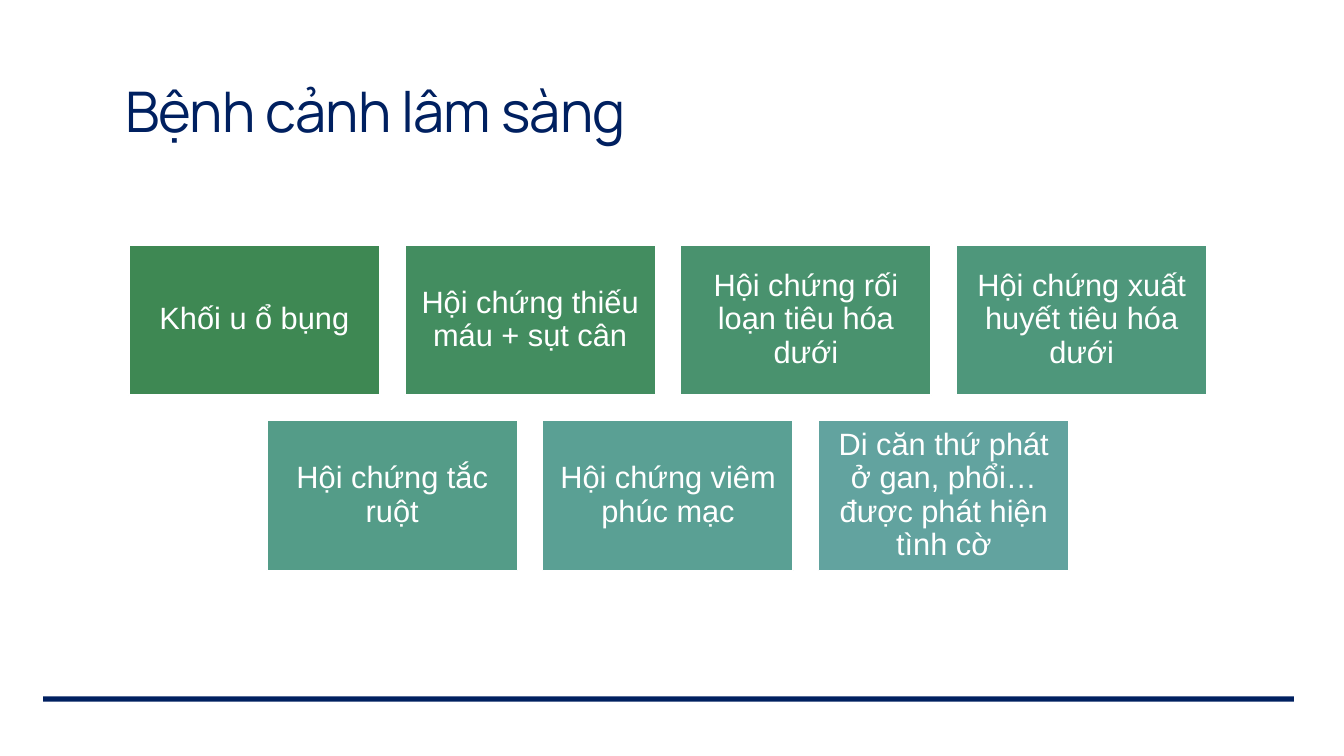
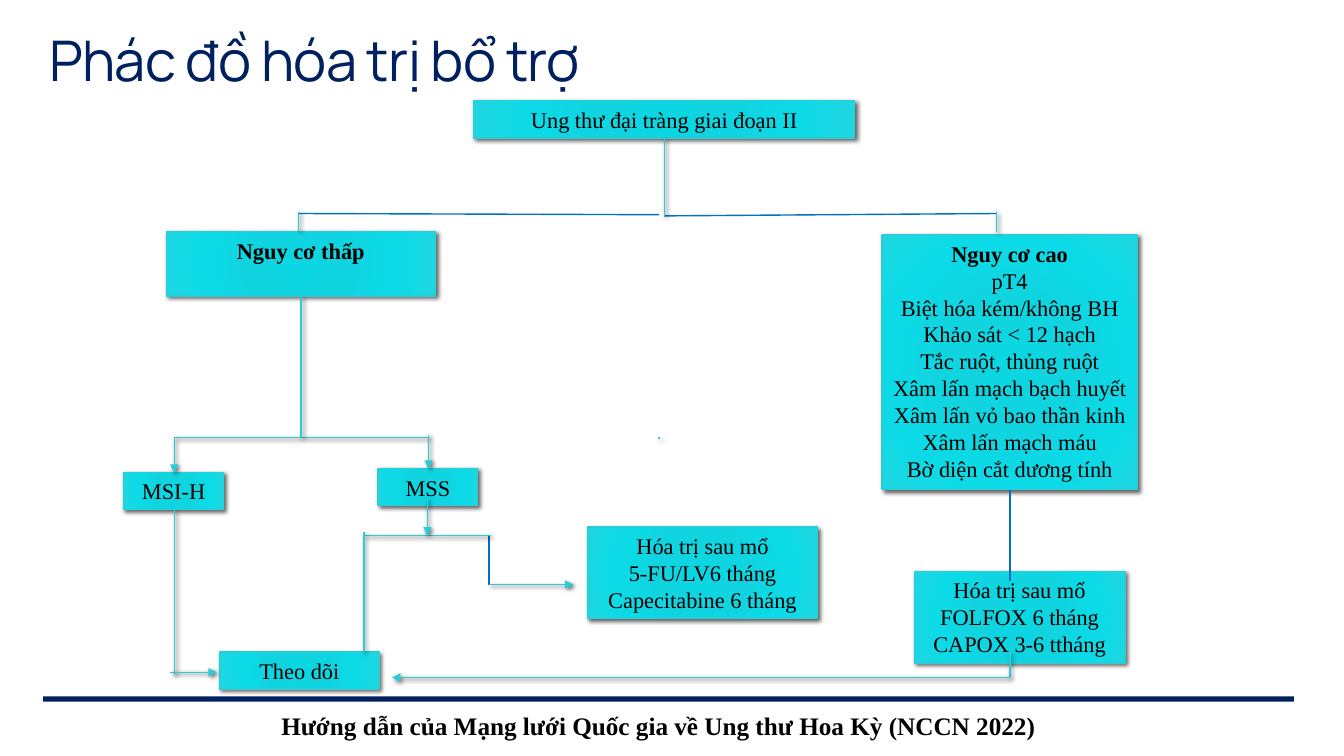
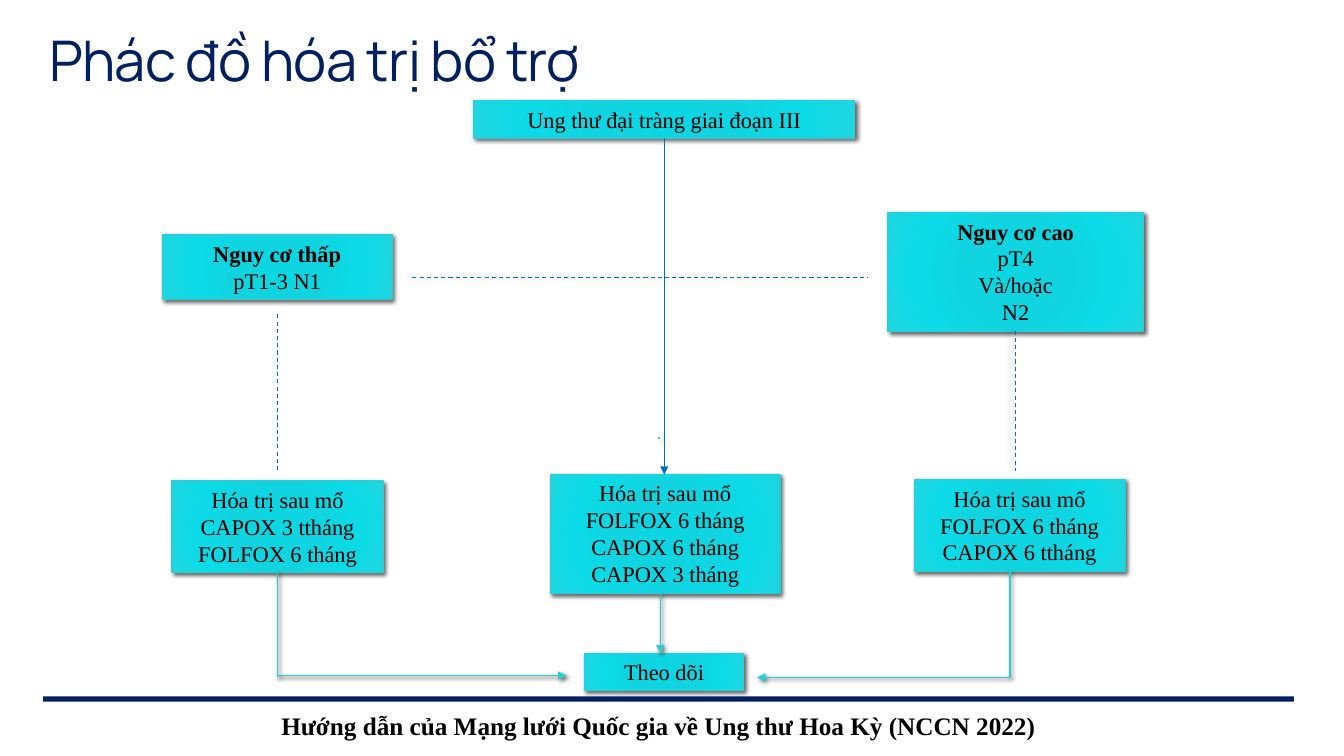
import lxml.etree
import pptx
import pptx.dml.color
import pptx.enum.dml
import pptx.enum.shapes
import pptx.enum.text
import pptx.oxml.ns
import pptx.util

Cm = pptx.util.Cm
Pt = pptx.util.Pt
RGBColor = pptx.dml.color.RGBColor
ALIGN = pptx.enum.text.PP_ALIGN
ANCHOR = pptx.enum.text.MSO_ANCHOR
RECTANGLE = pptx.enum.shapes.MSO_SHAPE.RECTANGLE

NAVY = RGBColor(0x00, 0x20, 0x60)
BLUE = RGBColor(0x00, 0x70, 0xC0)
CYAN = RGBColor(0x27, 0xCE, 0xD7)
BLACK = RGBColor(0x00, 0x00, 0x00)
WHITE = RGBColor(0xFF, 0xFF, 0xFF)
GREENS = [
    RGBColor(0x3E, 0x88, 0x53),
    RGBColor(0x43, 0x8D, 0x60),
    RGBColor(0x49, 0x92, 0x6E),
    RGBColor(0x4E, 0x97, 0x7B),
    RGBColor(0x54, 0x9C, 0x88),
    RGBColor(0x5A, 0xA0, 0x94),
    RGBColor(0x62, 0xA3, 0x9F),
]
GLOW_STOPS = [
    (0, RGBColor(0x0C, 0xD6, 0xE1)),
    (34, RGBColor(0x10, 0xD4, 0xDF)),
    (70, RGBColor(0x0C, 0xDB, 0xE7)),
    (100, RGBColor(0x1E, 0xD6, 0xE0)),
]

TITLE_FONT = {"name": "Manrope", "size": Pt(40), "bold": False}
TILE_FONT = {"name": "Arial", "size": Pt(22)}
BOX_FONT = {"name": "Times New Roman", "size": Pt(16)}
NOTE_FONT = {"name": "Times New Roman", "size": Pt(18), "bold": True}
TITLE_PARA = {"alignment": ALIGN.LEFT, "line_spacing": 0.85}
TILE_PARA = {"alignment": ALIGN.CENTER, "line_spacing": 0.9}
BOX_PARA = {"alignment": ALIGN.CENTER}

SOFT_SHADOW = {"alpha": 60, "blur": 3, "distance": 2, "angle": 45}
SIDE_SHADOW = {"alpha": 40, "blur": 4, "distance": 3, "angle": 180}
DASH = pptx.enum.dml.MSO_LINE.DASH
CYAN_LINE = {"color": CYAN, "shadow": SOFT_SHADOW}
CYAN_ARROW = {"color": CYAN, "shadow": SOFT_SHADOW, "arrow": True}
BLUE_LINE = {"color": BLUE}
BLUE_ARROW = {"color": BLUE, "arrow": True}
BLUE_DASH = {"color": BLUE, "width": 0.75, "dash": DASH}
SHADED_DASH = {**BLUE_DASH, "shadow": SIDE_SHADOW}

FLOW_TITLE = "Phác đồ hóa trị bổ trợ"
GUIDELINE = "Hướng dẫn của Mạng lưới Quốc gia về Ung thư Hoa Kỳ (NCCN 2022)"
CHEMO = "Hóa trị sau mổ"
FOLLOW_UP = "Theo dõi"
LOW_RISK = "Nguy cơ thấp"
HIGH_RISK = "Nguy cơ cao"

TILE_ROWS = [
    [
        "Khối u ổ bụng",
        "Hội chứng thiếu máu + sụt cân",
        "Hội chứng rối loạn tiêu hóa dưới",
        "Hội chứng xuất huyết tiêu hóa dưới",
    ],
    [
        "Hội chứng tắc ruột",
        "Hội chứng viêm phúc mạc",
        "Di căn thứ phát ở gan, phổi…được phát hiện tình cờ",
    ],
]

STAGE_TWO_BOXES = [
    (11.94, 2.54, 9.6, ["Ung thư đại tràng giai đoạn II"]),
    (14.81, 13.28, 5.79, [CHEMO, "5-FU/LV6 tháng", "Capecitabine 6 tháng"]),
    (22.23, 5.92, 6.43, [
        HIGH_RISK,
        "pT4",
        "Biệt hóa kém/không BH",
        "Khảo sát < 12 hạch",
        "Tắc ruột, thủng ruột",
        "Xâm lấn mạch bạch huyết",
        "Xâm lấn vỏ bao thần kinh",
        "Xâm lấn mạch máu",
        "Bờ diện cắt dương tính",
    ]),
    (23.04, 14.4, 5.31, [CHEMO, "FOLFOX 6 tháng", "CAPOX 3-6 ttháng"]),
    (9.53, 11.81, 2.51, ["MSS"]),
    (3.12, 11.91, 2.51, ["MSI-H"]),
    (5.54, 16.43, 4.01, [FOLLOW_UP]),
]
STAGE_TWO_LINES = [
    (BLUE_LINE, [
        (16.74, 5.44, 25.12, 5.38),
        (25.45, 12.34, 25.45, 14.63),
        (7.52, 5.38, 16.61, 5.41),
        (12.32, 13.51, 12.32, 14.73),
    ]),
    (CYAN_LINE, [
        (16.61, 11.07, 16.61, 11.02),
        (25.12, 5.33, 25.12, 5.84),
        (4.39, 11.02, 10.8, 11.02),
        (16.74, 3.48, 16.74, 5.44),
        (4.39, 12.85, 4.39, 16.99),
        (9.19, 13.49, 12.37, 13.49),
        (9.17, 16.43, 9.17, 13.41),
        (25.45, 17.07, 25.45, 16.43),
        (7.59, 11.02, 7.59, 7.47),
        (7.52, 5.33, 7.52, 5.82),
    ]),
    (CYAN_ARROW, [
        (4.39, 11.02, 4.39, 11.91),
        (10.8, 10.95, 10.8, 11.81),
        (4.29, 16.94, 5.46, 16.94),
        (12.32, 14.73, 14.45, 14.73),
        (25.45, 17.07, 9.88, 17.07),
        (10.77, 12.55, 10.77, 13.49),
    ]),
]

STAGE_THREE_BOXES = [
    (11.94, 2.54, 9.6, ["Ung thư đại tràng giai đoạn III"]),
    (4.09, 5.92, 5.79, [LOW_RISK, "pT1-3 N1"]),
    (13.87, 11.96, 5.79, [CHEMO, "FOLFOX 6 tháng", "CAPOX 6 tháng", "CAPOX 3 tháng"]),
    (22.38, 5.36, 6.43, [HIGH_RISK, "pT4", "Và/hoặc", "N2"]),
    (23.04, 12.09, 5.31, [CHEMO, "FOLFOX 6 tháng", "CAPOX 6 ttháng"]),
    (4.34, 12.12, 5.31, [CHEMO, "CAPOX 3 ttháng", "FOLFOX 6 tháng"]),
    (14.73, 16.46, 4.01, [FOLLOW_UP]),
]
STAGE_THREE_LINES = [
    (CYAN_LINE, [
        (16.61, 11.07, 16.61, 11.02),
        (25.45, 17.07, 25.45, 14.4),
        (6.99, 17.07, 6.99, 14.4),
    ]),
    (CYAN_ARROW, [
        (6.99, 17.02, 14.27, 17.02),
        (16.64, 14.96, 16.64, 16.46),
        (25.45, 17.07, 19.08, 17.07),
    ]),
    (BLUE_ARROW, [(16.74, 3.48, 16.74, 11.96)]),
    (SHADED_DASH, [(10.39, 6.99, 21.87, 6.99), (25.58, 8.33, 25.58, 11.86)]),
    (BLUE_DASH, [(6.99, 7.92, 6.99, 11.86)]),
]


def apply(target, values):
    for name, value in values.items():
        setattr(target, name, value)


def add_xml(parent, tag, **attributes):
    values = {name: str(value) for name, value in attributes.items()}
    return lxml.etree.SubElement(parent, pptx.oxml.ns.qn(tag), values)


def set_effects(shape, shadow=None):
    properties = shape.element.spPr
    effects = properties.find(pptx.oxml.ns.qn("a:effectLst"))
    if effects is None:
        effects = add_xml(properties, "a:effectLst")
    if shadow:
        outer = add_xml(
            effects, "a:outerShdw", blurRad=Pt(shadow["blur"]), dist=Pt(shadow["distance"]),
            dir=shadow["angle"] * 60000, algn="tl", rotWithShape=0,
        )
        color = add_xml(outer, "a:srgbClr", val=BLACK)
        add_xml(color, "a:alpha", val=shadow["alpha"] * 1000)


def set_glow_fill(shape):
    shape.fill.solid()
    properties = shape.element.spPr
    solid = properties.find(pptx.oxml.ns.qn("a:solidFill"))
    gradient = add_xml(properties, "a:gradFill", rotWithShape=1)
    stops = add_xml(gradient, "a:gsLst")
    for position, color in GLOW_STOPS:
        stop = add_xml(stops, "a:gs", pos=position * 1000)
        add_xml(stop, "a:srgbClr", val=color)
    circle = add_xml(gradient, "a:path", path="circle")
    add_xml(circle, "a:fillToRect", l=100000, t=100000, r=100000, b=100000)
    properties.replace(solid, gradient)


def write(frame, lines, font, color, layout, anchor=ANCHOR.TOP):
    apply(frame, {
        "word_wrap": True,
        "auto_size": pptx.enum.text.MSO_AUTO_SIZE.NONE,
        "vertical_anchor": anchor,
    })
    for index, line in enumerate(lines):
        para = frame.add_paragraph() if index else frame.paragraphs[0]
        apply(para, layout)
        span = para.add_run()
        span.text = line
        apply(span.font, font)
        span.font.color.rgb = color


def add_rectangle(page, left, top, width, height):
    shape = page.shapes.add_shape(RECTANGLE, Cm(left), Cm(top), Cm(width), Cm(height))
    shape.shadow.inherit = False
    return shape


def add_band(page, master):
    band = add_rectangle(page, 1.09, 17.55, 31.52, 0.13)
    band.fill.solid()
    band.fill.fore_color.rgb = NAVY
    band.line.fill.background()
    master.shapes.element.append(band.element)


def add_page(deck, title, left, top):
    page = deck.slides.add_slide(deck.slide_layouts[5])
    box = page.shapes.title
    apply(box, {"left": Cm(left), "top": Cm(top), "width": Cm(27.94), "height": Cm(2.46)})
    write(box.text_frame, [title], TITLE_FONT, NAVY, TITLE_PARA, ANCHOR.BOTTOM)
    for span in box.text_frame.paragraphs[0].runs:
        span.font._element.set("spc", "-50")
    return page


def add_tiles(page):
    width, height, gap = 6.32, 3.79, 0.63
    pitch = width + gap
    colors = iter(GREENS)
    for row, labels in enumerate(TILE_ROWS):
        start = 3.25 + (len(TILE_ROWS[0]) - len(labels)) * pitch / 2
        for column, label in enumerate(labels):
            tile = add_rectangle(page, start + column * pitch, 6.17 + row * (height + gap), width, height)
            tile.fill.solid()
            tile.fill.fore_color.rgb = next(colors)
            tile.line.color.rgb = WHITE
            tile.line.width = Pt(1.25)
            sides = ("left", "top", "right", "bottom")
            apply(tile.text_frame, {f"margin_{side}": Cm(0.23) for side in sides})
            write(tile.text_frame, [label], TILE_FONT, WHITE, TILE_PARA, ANCHOR.MIDDLE)


def add_box(page, left, top, width, lines, rows=None):
    box = add_rectangle(page, left, top, width, 0.25 + 0.685 * (rows or len(lines)))
    set_glow_fill(box)
    box.line.color.rgb = CYAN
    box.line.width = Pt(1)
    set_effects(box, SOFT_SHADOW)
    write(box.text_frame, lines, BOX_FONT, BLACK, BOX_PARA)
    if lines[0] in (LOW_RISK, HIGH_RISK):
        box.text_frame.paragraphs[0].runs[0].font.bold = True


def add_line(page, ends, color, width=1, dash=None, arrow=False, shadow=None):
    straight = pptx.enum.shapes.MSO_CONNECTOR.STRAIGHT
    line = page.shapes.add_connector(straight, *map(Cm, ends))
    line.line.color.rgb = color
    line.line.width = Pt(width)
    if dash:
        line.line.dash_style = dash
    if arrow:
        stroke = line.element.spPr.find(pptx.oxml.ns.qn("a:ln"))
        add_xml(stroke, "a:tailEnd", type="triangle")
    set_effects(line, shadow)


def add_flow(page, boxes, line_groups):
    for box in boxes:
        add_box(page, *box)
    for style, routes in line_groups:
        for ends in routes:
            add_line(page, ends, **style)
    note = page.shapes.add_textbox(Cm(5.38), Cm(17.78), Cm(22.43), Cm(1.02))
    write(note.text_frame, [GUIDELINE], NOTE_FONT, BLACK, BOX_PARA)


def main():
    deck = pptx.Presentation()
    deck.slide_width = Cm(33.87)
    deck.slide_height = Cm(19.05)

    clinical = add_page(deck, "Bệnh cảnh lâm sàng", 2.9, 1.3)
    add_band(clinical, deck.slide_master)
    add_tiles(clinical)

    stage_two = add_page(deck, FLOW_TITLE, 0.99, 0)
    add_box(stage_two, 4.19, 5.84, 6.78, [LOW_RISK], rows=2)
    add_flow(stage_two, STAGE_TWO_BOXES, STAGE_TWO_LINES)

    stage_three = add_page(deck, FLOW_TITLE, 0.99, 0)
    add_flow(stage_three, STAGE_THREE_BOXES, STAGE_THREE_LINES)

    deck.save("out.pptx")


if __name__ == "__main__":
    main()
